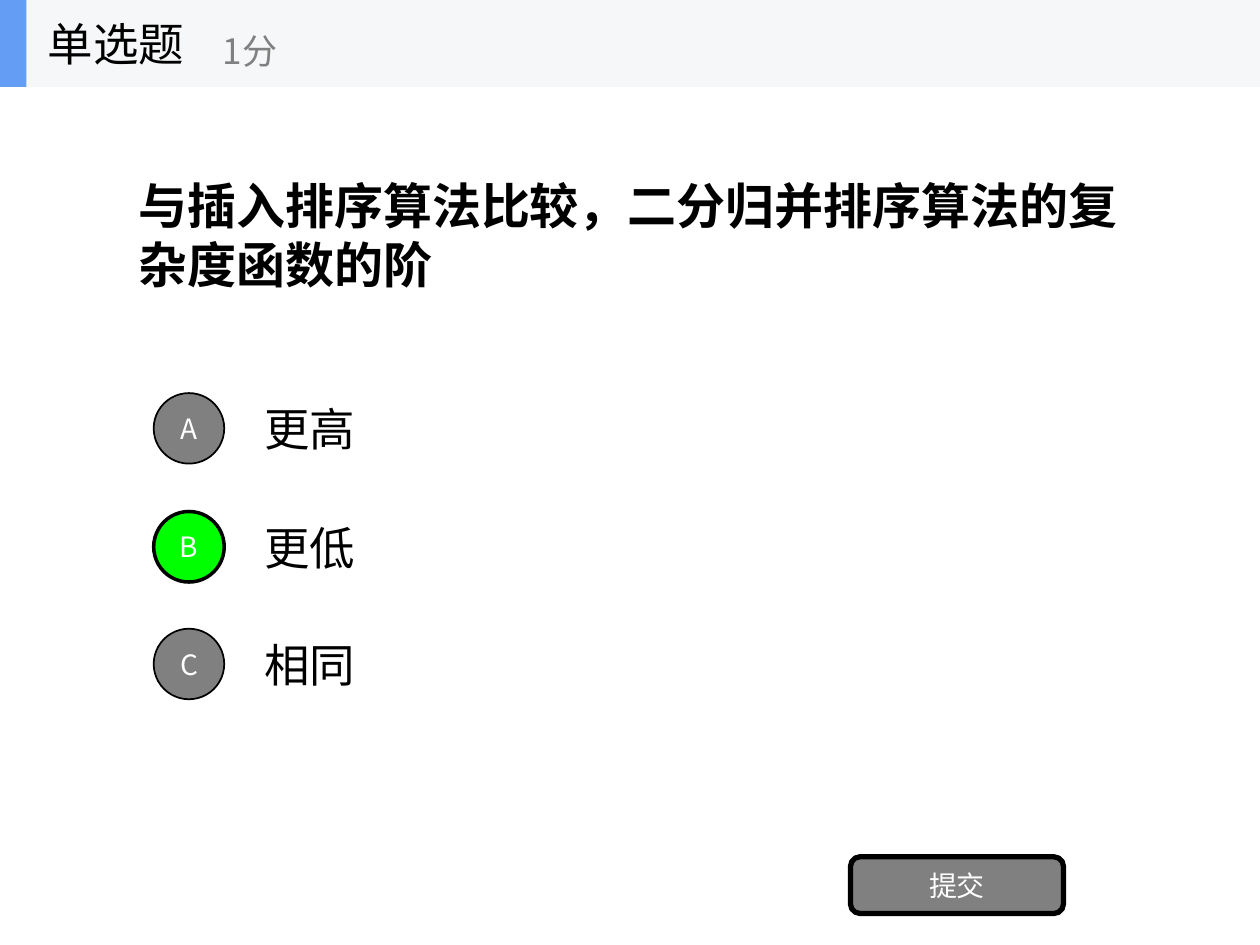
from lxml.etree import SubElement
from pptx import Presentation
from pptx.dml.color import RGBColor
from pptx.enum.shapes import MSO_SHAPE
from pptx.enum.text import MSO_ANCHOR, MSO_AUTO_SIZE, PP_ALIGN
from pptx.oxml.ns import qn
from pptx.util import Pt

PX = 9144
FONT = "Noto Sans CJK SC"
BLACK = RGBColor(0x00, 0x00, 0x00)
WHITE = RGBColor(0xFF, 0xFF, 0xFF)
GRAY = RGBColor(0x80, 0x80, 0x80)
GREEN = RGBColor(0x00, 0xFF, 0x00)
BLUE = RGBColor(0x63, 0x9E, 0xF4)
PALE = RGBColor(0xF6, 0xF7, 0xF8)


def scaled(*lengths):
    return [length * PX for length in lengths]


def write(shape, text, size, color, align=PP_ALIGN.LEFT, font=FONT, bold=False, wrap=True):
    frame = shape.text_frame
    frame.text = text
    frame.word_wrap = wrap
    frame.auto_size = MSO_AUTO_SIZE.NONE
    frame.vertical_anchor = MSO_ANCHOR.MIDDLE
    para = frame.paragraphs[0]
    para.alignment = align
    para.font.name = font
    para.font.size = Pt(size)
    para.font.bold = bold
    para.font.color.rgb = color
    defaults = para._p.pPr.find(qn("a:defRPr"))
    SubElement(defaults, qn("a:ea")).set("typeface", FONT)


def add_label(shapes, box, text, size, color, wrap=True):
    label = shapes.add_textbox(*scaled(*box))
    write(label, text, size, color, wrap=wrap)


def add_block(shapes, kind, box, fill, outline=0):
    block = shapes.add_shape(kind, *scaled(*box))
    block.shadow.inherit = False
    block.fill.solid()
    block.fill.fore_color.rgb = fill
    if outline:
        block.line.color.rgb = BLACK
        block.line.width = Pt(outline)
    else:
        block.line.fill.background()
    return block


def add_button(shapes, kind, box, text, fill, outline):
    button = add_block(shapes, kind, box, fill, outline)
    button.text_frame.margin_left = button.text_frame.margin_right = 0
    write(button, text, 16, WHITE, PP_ALIGN.CENTER)


def add_question(page, box, text):
    title = page.shapes.title
    title.left, title.top, title.width, title.height = scaled(*box)
    write(title, text, 28, BLACK, font="Arial", bold=True)


def add_options(page, box, options, correct):
    left, top, width, height = box
    row_height, badge = 70, 56
    pitch = (height - row_height) / (len(options) - 1)
    for index, (letter, answer) in enumerate(options):
        row_top = top + round(index * pitch)
        add_label(page.shapes, (left + 78, row_top, width - 78, row_height), answer, 26, BLACK)
        fill, outline = (GREEN, 2) if letter == correct else (GRAY, 1)
        badge_box = (left, row_top + (row_height - badge) // 2, badge, badge)
        add_button(page.shapes, MSO_SHAPE.OVAL, badge_box, letter, fill, outline)


def add_header(page, box, kind, score):
    left, top, width, height = box
    shapes = page.shapes.add_group_shape().shapes
    add_block(shapes, MSO_SHAPE.RECTANGLE, box, PALE)
    add_block(shapes, MSO_SHAPE.RECTANGLE, (left, top, 21, height), BLUE)
    add_label(shapes, (left + 28, top, 208, height), kind, 26, BLACK, wrap=False)
    add_label(shapes, (left + 167, top + 12, 250, height - 13), score, 20, GRAY, wrap=False)


def main():
    deck = Presentation()
    deck.slide_width, deck.slide_height = scaled(1000, 750)
    page = deck.slides.add_slide(deck.slide_layouts[5])
    add_question(page, (100, 69, 800, 234), "与插入排序算法比较，二分归并排序算法的复杂度函数的阶")
    add_options(page, (122, 305, 778, 257), [("A", "更高"), ("B", "更低"), ("C", "相同")], "B")
    add_button(page.shapes, MSO_SHAPE.ROUNDED_RECTANGLE, (675, 680, 169, 45), "提交", GRAY, 3)
    add_header(page, (0, 0, 1000, 69), "单选题", "1分")
    deck.save("out.pptx")


if __name__ == "__main__":
    main()
